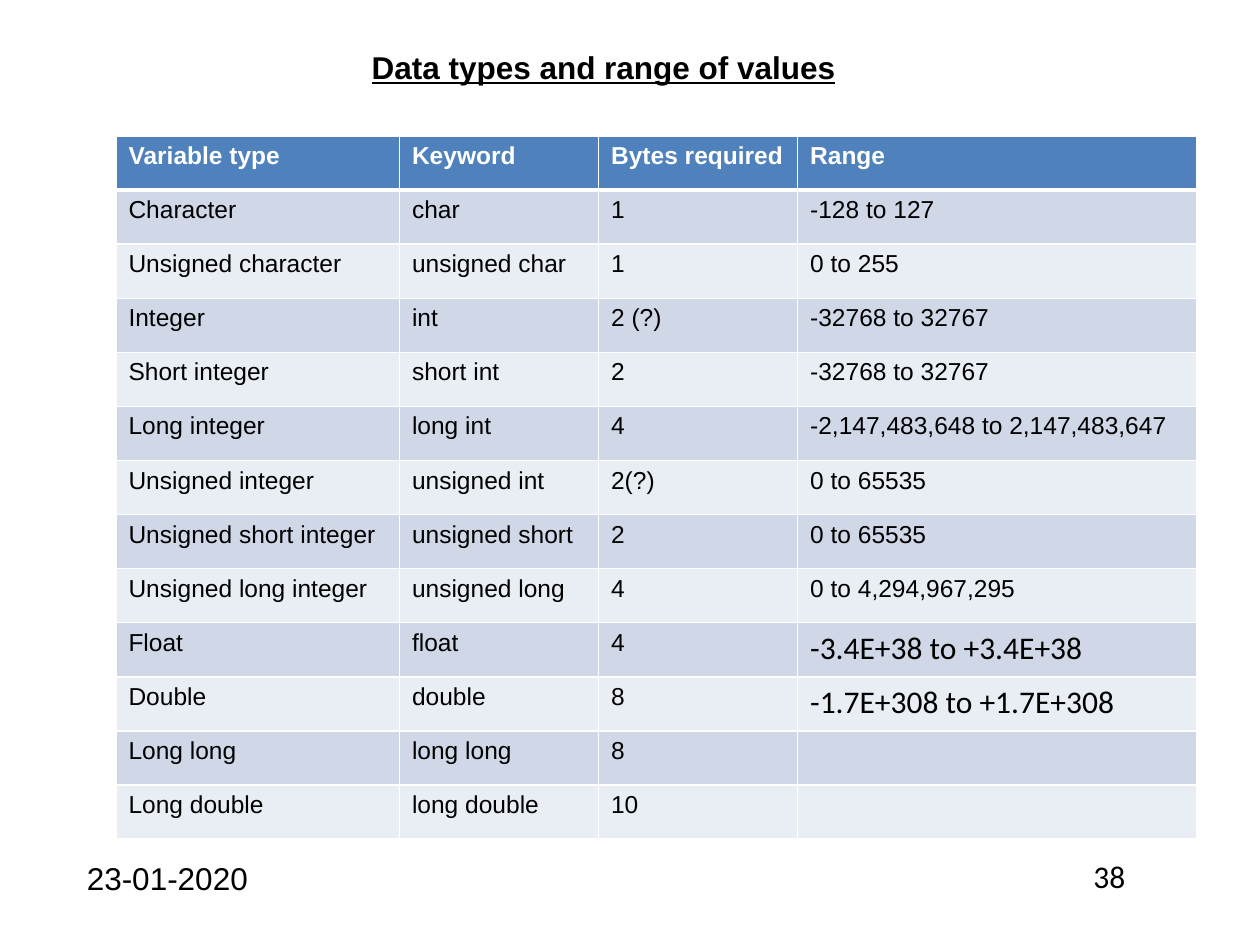
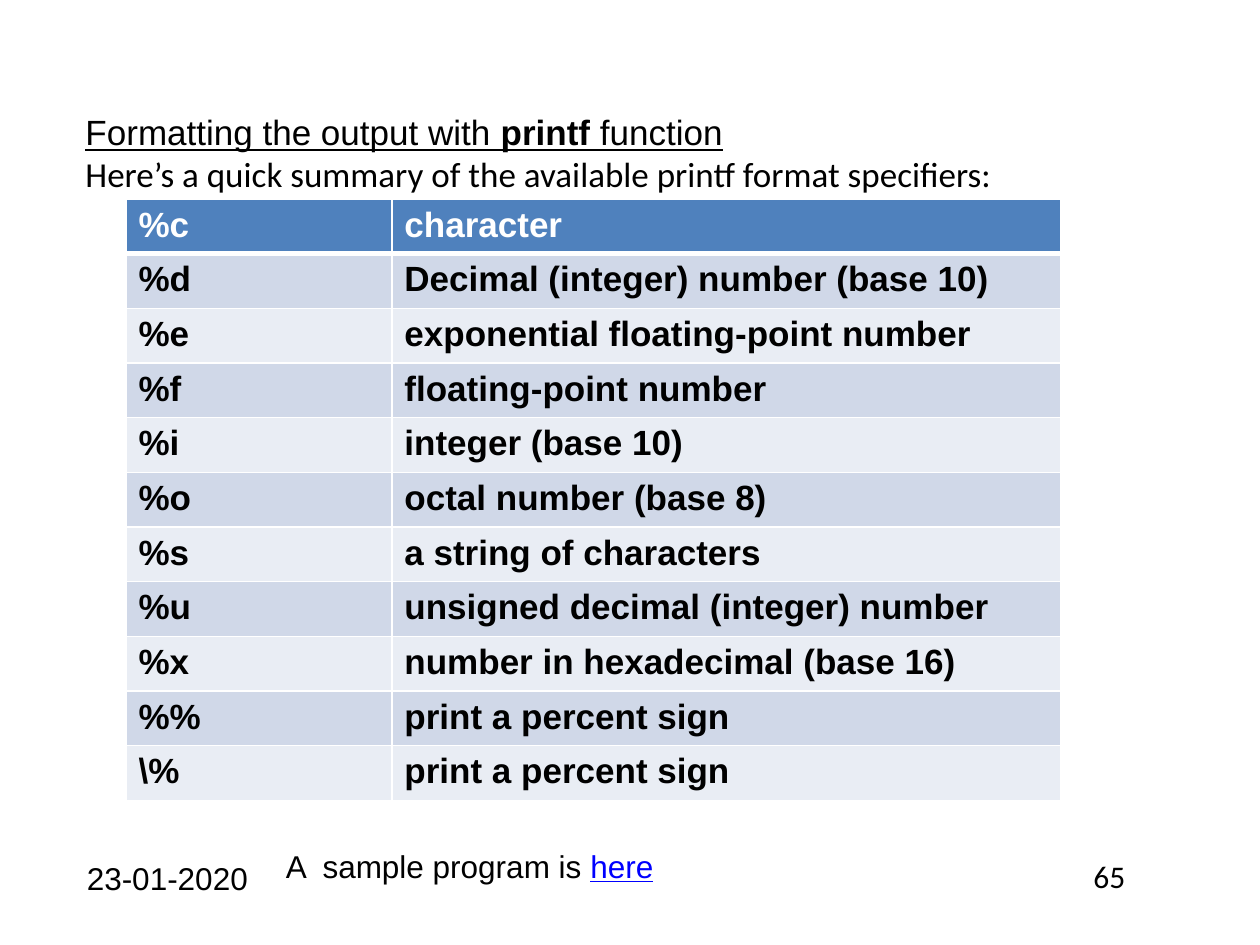
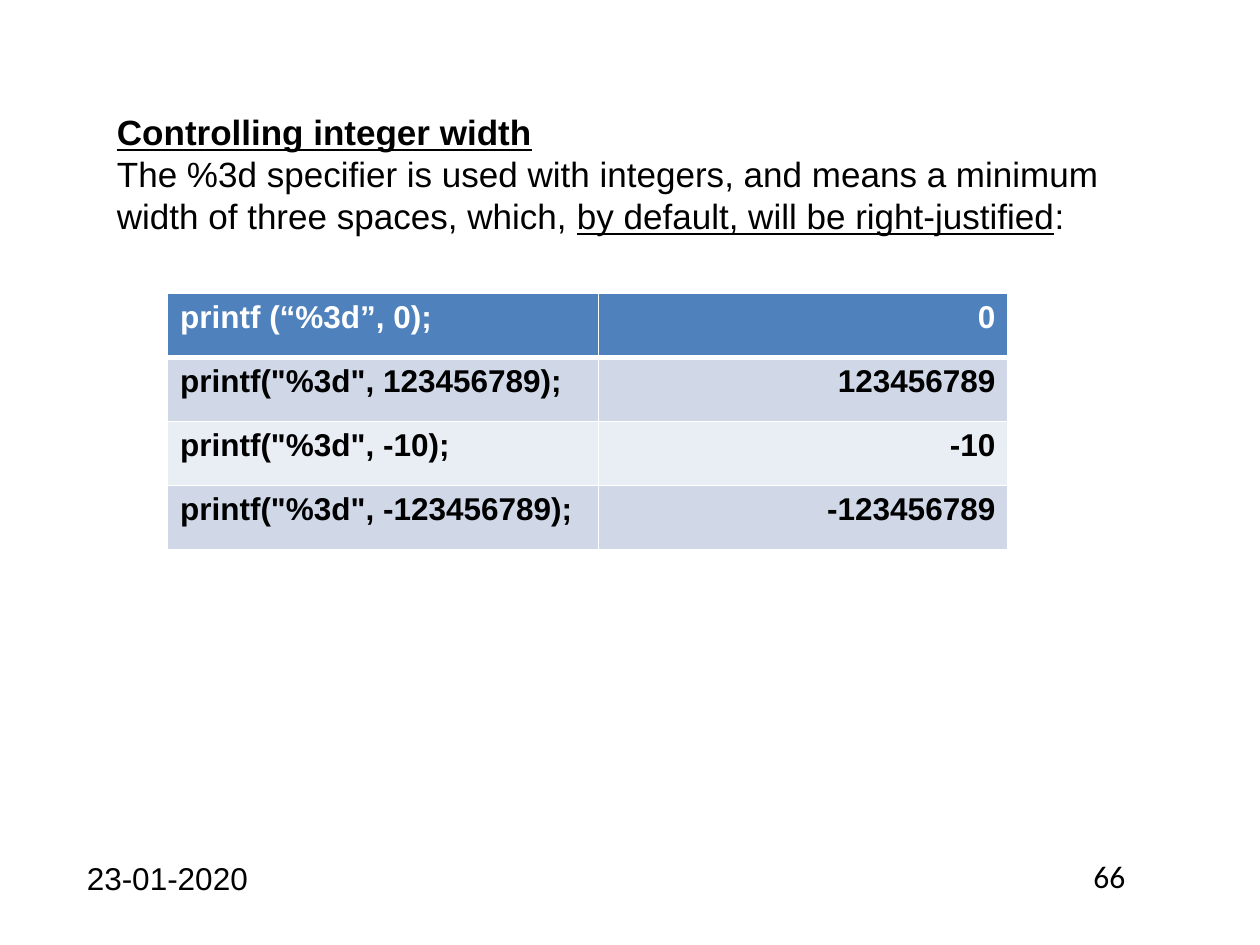
"""Build three slides on C data types and printf formats."""
from lxml import etree
from pptx import Presentation
from pptx import util as u
from pptx.dml.color import RGBColor
from pptx.enum import text
from pptx.oxml import ns

BLACK = RGBColor(0x00, 0x00, 0x00)
WHITE = RGBColor(0xFF, 0xFF, 0xFF)
BLUE = RGBColor(0x4F, 0x81, 0xBD)
DARK = RGBColor(0xD0, 0xD8, 0xE8)
LIGHT = RGBColor(0xE9, 0xED, 0xF4)
LINK = RGBColor(0x00, 0x00, 0xFF)
LEFT, MID, RIGHT = text.PP_ALIGN.LEFT, text.PP_ALIGN.CENTER, text.PP_ALIGN.RIGHT
BASE = {"name": "Arial", "size": 18, "color": BLACK}
UNDER = {"size": 20, "underline": True}
HEAD = {"bold": True, "underline": True}
MATH = {"name": "Calibri", "size": 18}


def write(frame, paras, align=LEFT):
    frame.word_wrap = True
    for n, runs in enumerate(paras):
        para = frame.add_paragraph() if n else frame.paragraphs[0]
        para.alignment = align
        for words, look in runs:
            run = para.add_run()
            run.text = words
            for key, val in {**BASE, **look}.items():
                if key == "color":
                    run.font.color.rgb = val
                else:
                    setattr(run.font, key, u.Pt(val) if key == "size" else val)


def label(slide, place, paras, align=LEFT):
    box = slide.shapes.add_textbox(*map(u.Inches, place))
    write(box.text_frame, paras, align)


types = [
    ("Variable type", "Keyword", "Bytes required", "Range"),
    ("Character", "char", "1", "-128 to 127"),
    ("Unsigned character", "unsigned char", "1", "0 to 255"),
    ("Integer", "int", "2 (?)", "-32768 to 32767"),
    ("Short integer", "short int", "2", "-32768 to 32767"),
    ("Long integer", "long int", "4", "-2,147,483,648 to 2,147,483,647"),
    ("Unsigned integer", "unsigned int", "2(?)", "0 to 65535"),
    ("Unsigned short integer", "unsigned short", "2", "0 to 65535"),
    ("Unsigned long integer", "unsigned long", "4", "0 to 4,294,967,295"),
    ("Float", "float", "4", "-3.4E+38 to +3.4E+38"),
    ("Double", "double", "8", "-1.7E+308 to +1.7E+308"),
    ("Long long", "long long", "8", ""),
    ("Long double", "long double", "10", ""),
]
codes = [
    ("%c", "character"),
    ("%d", "Decimal (integer) number (base 10)"),
    ("%e", "exponential floating-point number"),
    ("%f", "floating-point number"),
    ("%i", "integer (base 10)"),
    ("%o", "octal number (base 8)"),
    ("%s", "a string of characters"),
    ("%u", "unsigned decimal (integer) number"),
    ("%x", "number in hexadecimal (base 16)"),
    ("%%", "print a percent sign"),
    (r"\%", "print a percent sign"),
]
widths = [
    ("printf (“%3d”, 0);", "0"),
    ('printf("%3d", 123456789);', "123456789"),
    ('printf("%3d", -10);', "-10"),
    ('printf("%3d", -123456789);', "-123456789"),
]
pages = [
    {
        "num": "38", "rows": types, "at": (0.92, 1.08, 8.58, 5.58),
        "cols": (2.25, 1.58, 1.58, 3.17), "size": 14, "bold": False, "last": LEFT,
        "notes": [((2.25, 0.33, 5.08, 0.42),
                   [[("Data types and range of values", HEAD)]], MID)],
    },
    {
        "num": "65", "rows": codes, "at": (1, 1.58, 7.42, 4.77),
        "cols": (2.11, 5.31), "size": 20, "bold": True, "last": LEFT,
        "notes": [
            ((0.58, 0.83, 8.75, 0.77), [
                [("Formatting the output with ", UNDER),
                 ("printf", {**UNDER, "bold": True}),
                 (" function", UNDER)],
                [("Here’s a quick summary of the available printf format specifiers:",
                  {"name": "Calibri", "size": 20})],
            ], LEFT),
            ((2.17, 6.67, 4.75, 0.4),
             [[("A  sample program is ", {}),
               ("here", {"color": LINK, "underline": True})]], LEFT),
        ],
    },
    {
        "num": "66", "rows": widths, "at": (1.33, 2.33, 6.67, 2.03),
        "cols": (3.42, 3.25), "size": 18, "bold": True, "last": RIGHT,
        "notes": [((0.83, 0.83, 8.67, 1.11), [
            [("Controlling integer width", {**UNDER, "bold": True})],
            [("The %3d specifier is used with integers, and means a minimum "
              "width of three spaces, which, ", {"size": 20}),
             ("by default, will be right-justified", UNDER),
             (":", {"size": 20})],
        ], LEFT)],
    },
]

deck = Presentation()
deck.slide_width, deck.slide_height = u.Inches(10), u.Inches(7.5)
for page in pages:
    slide = deck.slides.add_slide(deck.slide_layouts[6])
    label(slide, (0.59, 6.77, 1.52, 0.47), [[("23-01-2020", {})]])
    label(slide, (8.58, 6.75, 0.92, 0.4), [[(page["num"], MATH)]])

    rows, cols = page["rows"], page["cols"]
    place = map(u.Inches, page["at"])
    grid = slide.shapes.add_table(len(rows), len(cols), *place).table
    for col, wide in zip(grid.columns, cols):
        col.width = u.Inches(wide)
    for r, row in enumerate(rows):
        for c, words in enumerate(row):
            cell = grid.cell(r, c)
            props = cell._tc.get_or_add_tcPr()
            for side in "LRTB":
                thick = 3 if (r, side) in ((0, "B"), (1, "T")) else 1
                line = etree.SubElement(props, ns.qn("a:ln" + side), w=str(u.Pt(thick)))
                fill = etree.SubElement(line, ns.qn("a:solidFill"))
                etree.SubElement(fill, ns.qn("a:srgbClr"), val=str(WHITE))
            cell.fill.solid()
            cell.fill.fore_color.rgb = (DARK if r % 2 else LIGHT) if r else BLUE
            look = {"size": page["size"], "bold": page["bold"] or r == 0,
                    "color": BLACK if r else WHITE}
            if "E+" in words:
                look.update(MATH)
            if words:
                align = page["last"] if c == len(cols) - 1 else LEFT
                write(cell.text_frame, [[(words, look)]], align)

    for place, paras, align in page["notes"]:
        label(slide, place, paras, align)

deck.save("out.pptx")
